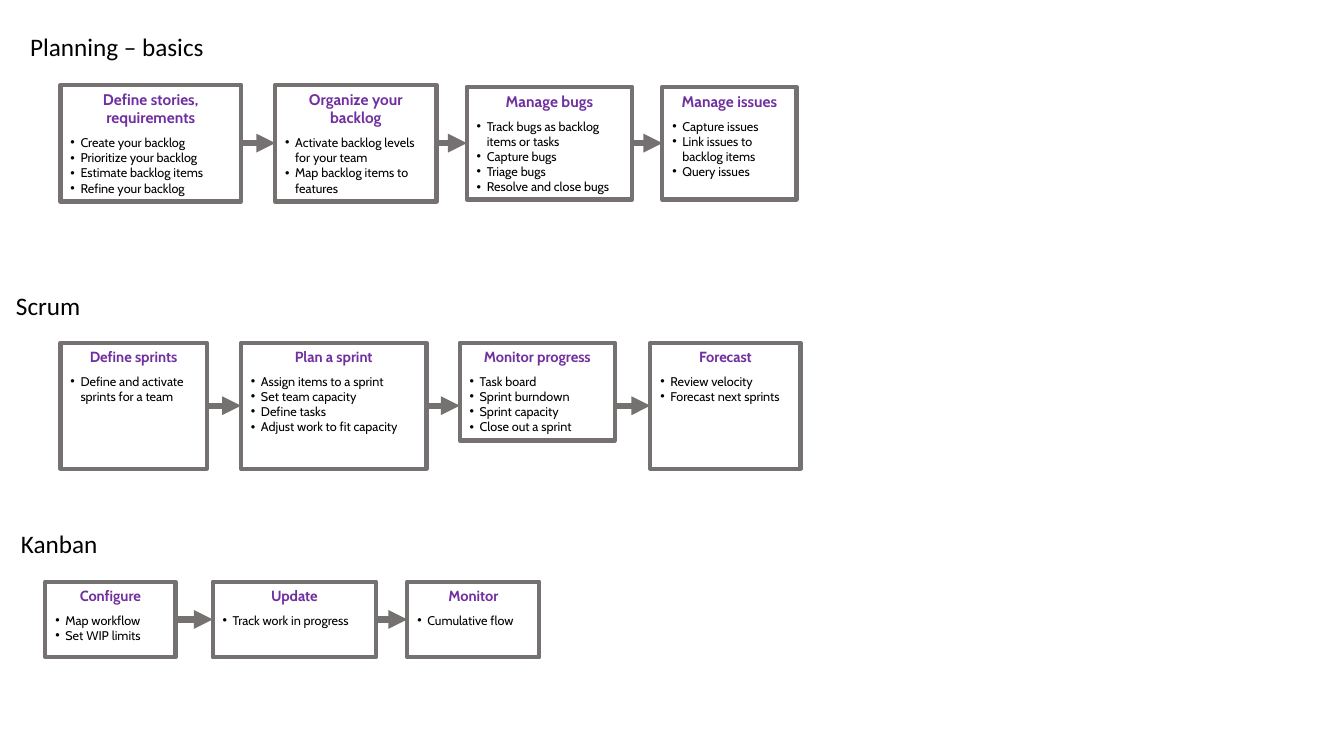
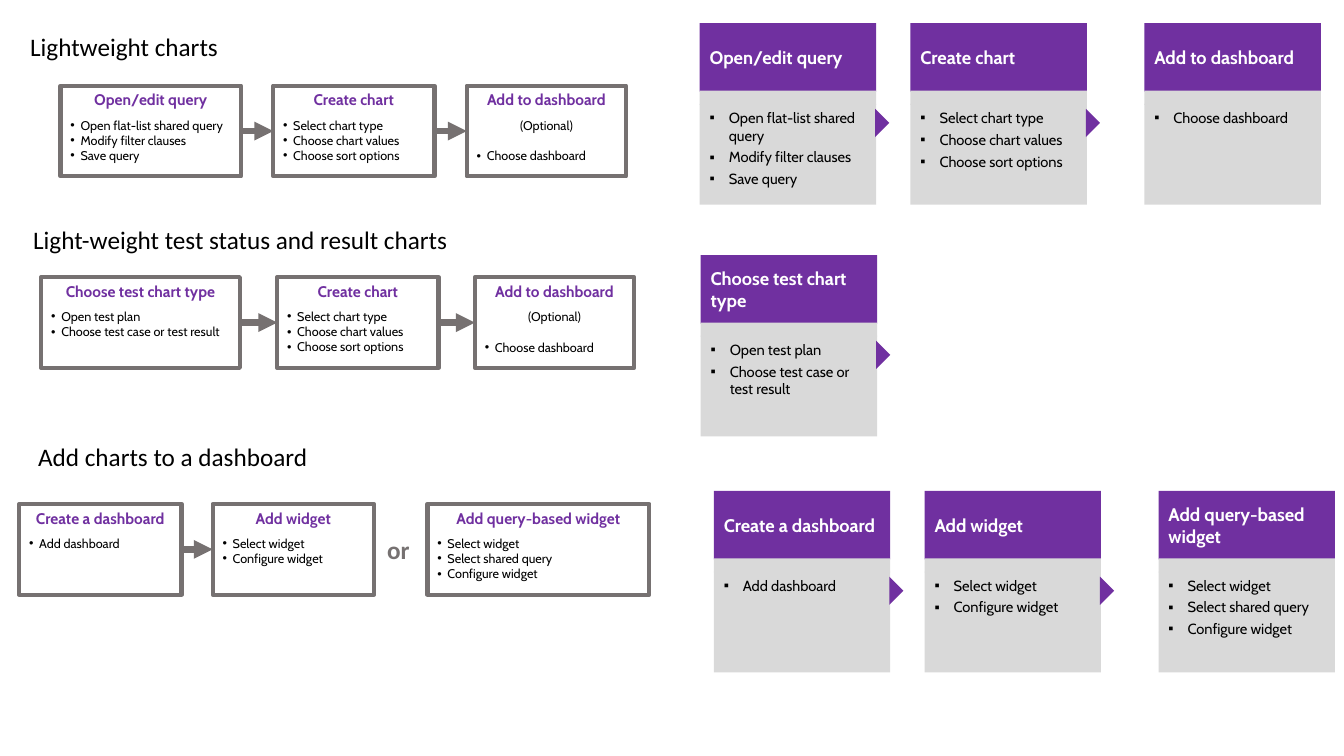
from dataclasses import dataclass
from typing import Optional

from lxml import etree
from pptx import Presentation
from pptx import util as u
from pptx.dml.color import RGBColor
from pptx.enum import shapes, text
from pptx.oxml.ns import qn

COLORS = {"purple": "7030A0", "gray": "767171", "light": "D9D9D9",
          "black": "000000", "white": "FFFFFF"}
FORMATS = {
    "heading": {"name": "Calibri", "size": u.Pt(18), "color": "black"},
    "or": {"name": "Calibri", "size": u.Pt(18), "bold": True, "color": "gray"},
    "box title": {"name": "Cabin", "size": u.Pt(11), "bold": True, "color": "purple"},
    "small title": {"name": "Cabin", "size": u.Pt(10.5), "bold": True, "color": "purple"},
    "box item": {"name": "Cabin", "size": u.Pt(9), "color": "black"},
    "card title": {"name": "Cabin", "size": u.Pt(13), "bold": True, "color": "white"},
    "card item": {"name": "Cabin", "size": u.Pt(10.5), "color": "black"},
}
CARD_W, HEAD_H, STRIP_H, BODY_H = 1.75, 0.68, 0.14, 1.0
STRIP_DY, BODY_DY = 0.67, 0.8
CARD_DX = (0, 2.09, 4.41)
TIP_W, TIP_H, TIP_DX, TIP_DY = 0.28, 0.14, 1.67, 0.92


@dataclass
class Step:
    title: str
    items: list[str]
    note: Optional[str] = None


@dataclass
class Box:
    left: float
    width: float
    step: Step
    top: Optional[float] = None
    height: Optional[float] = None
    arrow: bool = True


@dataclass
class Label:
    left: float
    top: float
    width: float
    words: str
    fmt: str = "heading"


@dataclass
class Flow:
    heading: Label
    top: float
    height: float
    boxes: list[Box]
    title_format: str = "box title"


@dataclass
class CardRow:
    left: float
    top: float
    steps: list[Step]
    tips: int


CHART_ITEMS = ["Select chart type", "Choose chart values", "Choose sort options"]
QUERY = Step("Open/edit query",
             ["Open flat-list shared query", "Modify filter clauses", "Save query"])
CHART = Step("Create chart", CHART_ITEMS)
ADD = Step("Add to dashboard", ["Choose dashboard"])
ADD_OPTIONAL = Step(ADD.title, ADD.items, "(Optional)")
TEST = Step("Choose test chart type", ["Open test plan", "Choose test case or test result"])
DASHBOARD = Step("Create a dashboard", ["Add dashboard"])
WIDGET = Step("Add widget", ["Select widget", "Configure widget"])
QUERY_WIDGET = Step("Add query-based widget",
                    ["Select widget", "Select shared query", "Configure widget"])

PLANNING_FLOWS = [
    Flow(Label(0.2, 0.26, 2.06, "Planning – basics"), 0.84, 1.16, [
        Box(0.6, 1.79, Step("Define stories, requirements", [
            "Create your backlog", "Prioritize your backlog",
            "Estimate backlog items", "Refine your backlog"])),
        Box(2.73, 1.6, Step("Organize your backlog", [
            "Activate backlog levels for your team", "Map backlog items to features"])),
        Box(4.63, 1.64, Step("Manage bugs", [
            "Track bugs as backlog items or tasks", "Capture bugs", "Triage bugs",
            "Resolve and close bugs"]), 0.86, 1.12),
        Box(6.57, 1.33, Step("Manage issues", [
            "Capture issues", "Link issues to backlog items", "Query issues"]), 0.86, 1.12),
    ]),
    Flow(Label(0.06, 2.83, 0.85, "Scrum"), 3.4, 1.25, [
        Box(0.6, 1.45, Step("Define sprints", ["Define and activate sprints for a team"])),
        Box(2.39, 1.84, Step("Plan a sprint", [
            "Assign items to a sprint", "Set team capacity", "Define tasks",
            "Adjust work to fit capacity"])),
        Box(4.56, 1.54, Step("Monitor progress", [
            "Task board", "Sprint burndown", "Sprint capacity", "Close out a sprint"]),
            height=0.97),
        Box(6.45, 1.49, Step("Forecast", ["Review velocity", "Forecast next sprints"])),
    ], "small title"),
    Flow(Label(0.11, 5.19, 0.97, "Kanban"), 5.77, 0.75, [
        Box(0.45, 1.29, Step("Configure", ["Map workflow", "Set WIP limits"])),
        Box(2.11, 1.62, Step("Update", ["Track work in progress"])),
        Box(4.04, 1.31, Step("Monitor", ["Cumulative flow"])),
    ], "small title"),
]
CHART_FLOWS = [
    Flow(Label(0.2, 0.26, 2.09, "Lightweight charts"), 0.85, 0.9, [
        Box(0.6, 1.79, QUERY), Box(2.71, 1.6, CHART), Box(4.63, 1.58, ADD_OPTIONAL)]),
    Flow(Label(0.23, 2.18, 4.42, "Light-weight test status and result charts"), 2.75, 0.9, [
        Box(0.41, 1.97, TEST), Box(2.75, 1.6, CHART), Box(4.71, 1.58, ADD_OPTIONAL)]),
    Flow(Label(0.28, 4.33, 2.9, "Add charts to a dashboard"), 5, 0.9, [
        Box(0.19, 1.61, DASHBOARD), Box(2.11, 1.6, WIDGET, arrow=False),
        Box(4.24, 2.2, QUERY_WIDGET)]),
]
CARD_ROWS = [
    CardRow(6.94, 0.23, [QUERY, CHART, ADD], 2),
    CardRow(6.95, 2.53, [TEST], 1),
    CardRow(7.08, 4.87, [DASHBOARD, WIDGET, QUERY_WIDGET], 2),
]


def rgb(name: str) -> RGBColor:
    return RGBColor.from_string(COLORS[name])


def write(p, words: str, fmt: str, align=text.PP_ALIGN.LEFT) -> None:
    p.alignment = align
    r = p.add_run()
    r.text = words
    for key, value in FORMATS[fmt].items():
        if key == "color":
            r.font.color.rgb = rgb(value)
        else:
            setattr(r.font, key, value)


def bullet(p, char: str, indent: float) -> None:
    pPr = p._p.get_or_add_pPr()
    pPr.set("marL", str(u.Inches(indent)))
    pPr.set("indent", str(-u.Inches(indent)))
    etree.SubElement(pPr, qn("a:buFont")).set("typeface", "Arial")
    etree.SubElement(pPr, qn("a:buChar")).set("char", char)


def add_block(s, left: float, top: float, width: float, height: float,
              fill: Optional[str] = None, kind=shapes.MSO_SHAPE.RECTANGLE):
    sp = s.shapes.add_shape(kind, *map(u.Inches, (left, top, width, height)))
    sp.shadow.inherit = False
    if fill:
        sp.fill.solid()
        sp.fill.fore_color.rgb = rgb(fill)
        sp.line.fill.background()
    else:
        sp.fill.background()
        sp.line.color.rgb = rgb("gray")
        sp.line.width = u.Pt(3)
    sp.text_frame.word_wrap = True
    sp.text_frame.vertical_anchor = text.MSO_ANCHOR.TOP
    return sp


def add_label(s, label: Label) -> None:
    sp = s.shapes.add_textbox(*map(u.Inches, (label.left, label.top, label.width, 0.4)))
    tf = sp.text_frame
    tf.word_wrap = False
    tf.auto_size = text.MSO_AUTO_SIZE.SHAPE_TO_FIT_TEXT
    write(tf.paragraphs[0], label.words, label.fmt)


def add_box(s, flow: Flow, box: Box):
    sp = add_block(s, box.left, box.top or flow.top, box.width, box.height or flow.height)
    tf = sp.text_frame
    p = tf.paragraphs[0]
    write(p, box.step.title, flow.title_format, text.PP_ALIGN.CENTER)
    p.space_after = u.Pt(6)
    if box.step.note:
        p = tf.add_paragraph()
        write(p, box.step.note, "box item", text.PP_ALIGN.CENTER)
        p.space_after = u.Pt(11)
    for item in box.step.items:
        p = tf.add_paragraph()
        write(p, item, "box item")
        bullet(p, "•", 0.1)
    return sp


def add_arrow(s, start, end, y: int) -> None:
    c = s.shapes.add_connector(shapes.MSO_CONNECTOR.STRAIGHT,
                               start.left + start.width, y, end.left, y)
    if abs(start.top + start.height // 2 - y) < u.Inches(0.01):
        c.begin_connect(start, 3)
    if abs(end.top + end.height // 2 - y) < u.Inches(0.01):
        c.end_connect(end, 1)
    c.line.color.rgb = rgb("gray")
    c.line.width = u.Pt(4.5)
    etree.SubElement(c.line._get_or_add_ln(), qn("a:tailEnd")).set("type", "triangle")
    etree.SubElement(c._element.spPr, qn("a:effectLst"))


def add_flow(s, flow: Flow) -> None:
    add_label(s, flow.heading)
    sps = [add_box(s, flow, box) for box in flow.boxes]
    y = u.Inches(flow.top + flow.height / 2)
    for box, start, end in zip(flow.boxes, sps, sps[1:]):
        if box.arrow:
            add_arrow(s, start, end, y)


def add_card(s, left: float, top: float, step: Step, tip: bool) -> None:
    head = add_block(s, left, top, CARD_W, HEAD_H, "purple")
    head.text_frame.vertical_anchor = text.MSO_ANCHOR.MIDDLE
    write(head.text_frame.paragraphs[0], step.title, "card title")
    tf = add_block(s, left, top + BODY_DY, CARD_W, BODY_H, "light").text_frame
    for i, item in enumerate(step.items):
        p = tf.add_paragraph() if i else tf.paragraphs[0]
        write(p, item, "card item")
        p.space_before = u.Pt(3)
        bullet(p, "▪", 0.19)
    add_block(s, left, top + STRIP_DY, CARD_W, STRIP_H, "light")
    if tip:
        sp = add_block(s, left + TIP_DX, top + TIP_DY, TIP_W, TIP_H, "purple",
                       shapes.MSO_SHAPE.ISOSCELES_TRIANGLE)
        sp.rotation = 90


def main() -> None:
    prs = Presentation()
    prs.slide_width, prs.slide_height = u.Inches(13.33), u.Inches(7.5)
    for flows in (PLANNING_FLOWS, CHART_FLOWS):
        s = prs.slides.add_slide(prs.slide_layouts[6])
        for flow in flows:
            add_flow(s, flow)
    add_label(s, Label(3.74, 5.25, 0.42, "or", "or"))
    for row in CARD_ROWS:
        for i, (step, dx) in enumerate(zip(row.steps, CARD_DX)):
            add_card(s, row.left + dx, row.top, step, i < row.tips)
    prs.save("out.pptx")


if __name__ == "__main__":
    main()
